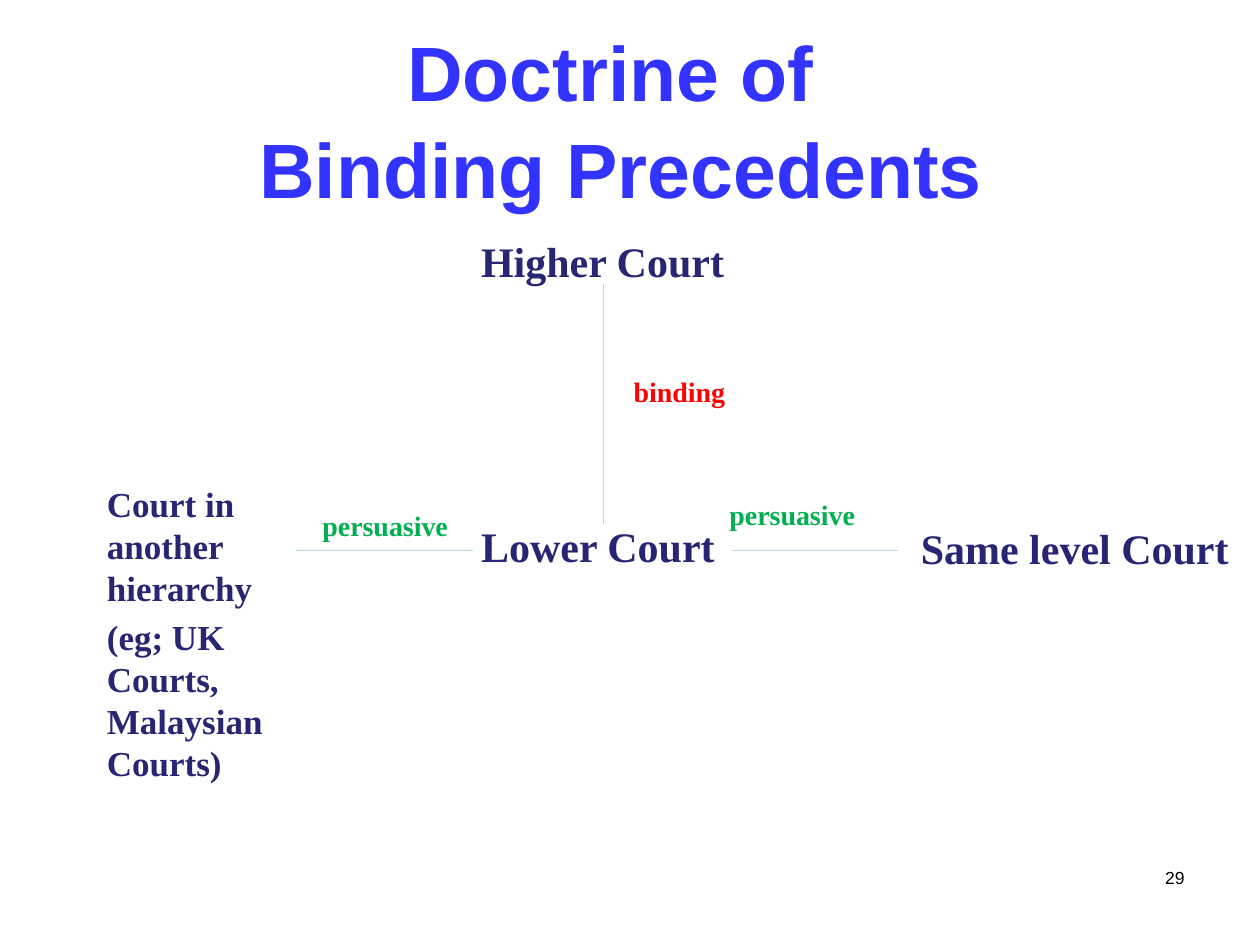
"""Build the slide on the doctrine of binding precedents."""
import dataclasses

import lxml.etree
import pptx
import pptx.dml.color
import pptx.enum.shapes
import pptx.enum.text
import pptx.oxml.ns
import pptx.util

COLUMNS, ROWS = 100, 75
NAVY, GREEN, RED, BLUE, PALE, BLACK = "262673", "00B050", "FF0000", "3333FF", "B6DCDF", "000000"
SERIF, SANS = "Times New Roman", "Arial"
LEFT, CENTER, RIGHT = (
    pptx.enum.text.PP_ALIGN.LEFT,
    pptx.enum.text.PP_ALIGN.CENTER,
    pptx.enum.text.PP_ALIGN.RIGHT,
)
LINK_ROW = 43.7
TRUNK_COLUMN = 47.9


@dataclasses.dataclass(frozen=True)
class Label:
    paragraphs: tuple[str, ...]
    column: float
    row: float
    width: float
    height: float
    size: int = 24
    color: str = NAVY


@dataclasses.dataclass(frozen=True)
class Link:
    start: tuple[float, float]
    end: tuple[float, float]


LABELS = (
    Label(("Higher Court",), 37.2, 18.2, 25.7, 5),
    Label(("Lower Court",), 37.2, 40.8, 21.3, 5),
    Label(("Same level Court",), 72.1, 41, 29.1, 5),
    Label(("Court in another hierarchy ", "(eg; UK Courts, Malaysian Courts)"),
          7.5, 37.8, 16.3, 25.2, 20),
    Label(("persuasive",), 24.6, 39.9, 12.9, 3.7, 16, GREEN),
    Label(("binding",), 49.3, 29.2, 10.1, 3.7, 16, RED),
    Label(("persuasive",), 56.9, 39, 12.1, 3.7, 16, GREEN),
)
LINKS = (
    Link((TRUNK_COLUMN, 22.5), (TRUNK_COLUMN, 41.6)),
    Link((58.1, LINK_ROW), (71.3, LINK_ROW)),
    Link((23.5, LINK_ROW), (37.5, LINK_ROW)),
)

presentation = pptx.Presentation()
presentation.slide_width = pptx.util.Inches(10)
presentation.slide_height = pptx.util.Inches(7.5)
slide = presentation.slides.add_slide(presentation.slide_layouts[5])


def across(columns: float) -> int:
    return round(presentation.slide_width * columns / COLUMNS)


def down(rows: float) -> int:
    return round(presentation.slide_height * rows / ROWS)


def rgb(color: str) -> pptx.dml.color.RGBColor:
    return pptx.dml.color.RGBColor.from_string(color)


def write(shape, paragraphs, *, size, color, font=SERIF, bold=True,
          align=LEFT, before=0.0, spacing=1.0) -> None:
    frame = shape.text_frame
    frame.word_wrap = True
    frame.auto_size = pptx.enum.text.MSO_AUTO_SIZE.NONE
    frame.vertical_anchor = pptx.enum.text.MSO_ANCHOR.TOP
    frame.text = "\n".join(paragraphs)
    for paragraph in frame.paragraphs:
        paragraph.alignment = align
        paragraph.space_before = pptx.util.Pt(size * before)
        paragraph.line_spacing = spacing
        for run in paragraph.runs:
            run.font.name = font
            run.font.size = pptx.util.Pt(size)
            run.font.bold = bold
            run.font.color.rgb = rgb(color)


def add_label(label: Label) -> None:
    box = slide.shapes.add_textbox(across(label.column), down(label.row),
                                   across(label.width), down(label.height))
    write(box, label.paragraphs, size=label.size, color=label.color, before=0.2)


def add_link(link: Link) -> None:
    connector = slide.shapes.add_connector(
        pptx.enum.shapes.MSO_CONNECTOR.STRAIGHT,
        across(link.start[0]), down(link.start[1]),
        across(link.end[0]), down(link.end[1]))
    connector.line.color.rgb = rgb(PALE)
    connector.line.width = pptx.util.Pt(0.75)
    lxml.etree.SubElement(connector._element.spPr, pptx.oxml.ns.qn("a:effectLst"))


title = slide.shapes.title
title.left, title.top = across(4.3), down(0.8)
title.width, title.height = across(90), down(12.5)
write(title, ("Doctrine of \vBinding Precedents",), size=44, color=BLUE,
      font=SANS, align=CENTER, spacing=1.05)
title.text_frame.margin_top = pptx.util.Inches(0.08)

number = slide.shapes.add_textbox(across(71.7), down(68.3), across(23.3), down(5.2))
write(number, ("29",), size=10, color=BLACK, font=SANS, bold=False, align=RIGHT)

for label in LABELS:
    add_label(label)
for link in LINKS:
    add_link(link)

presentation.save("out.pptx")
